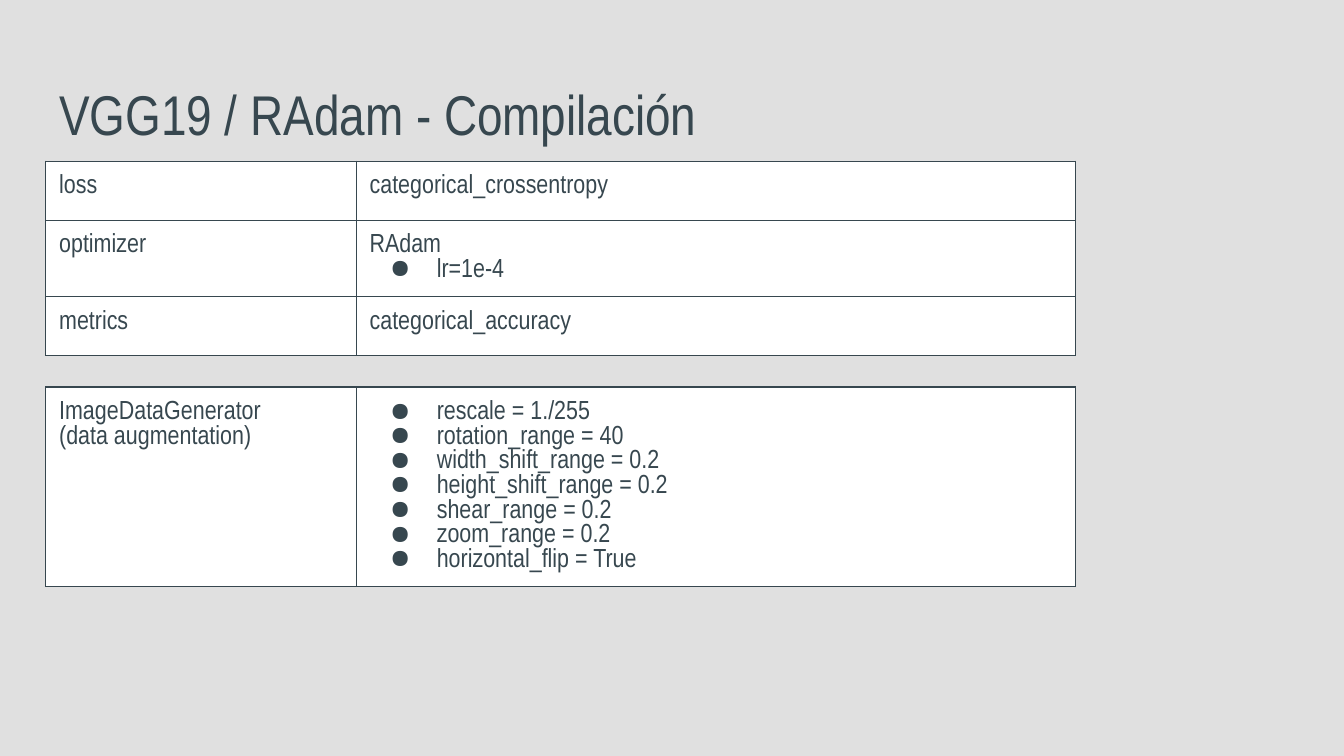
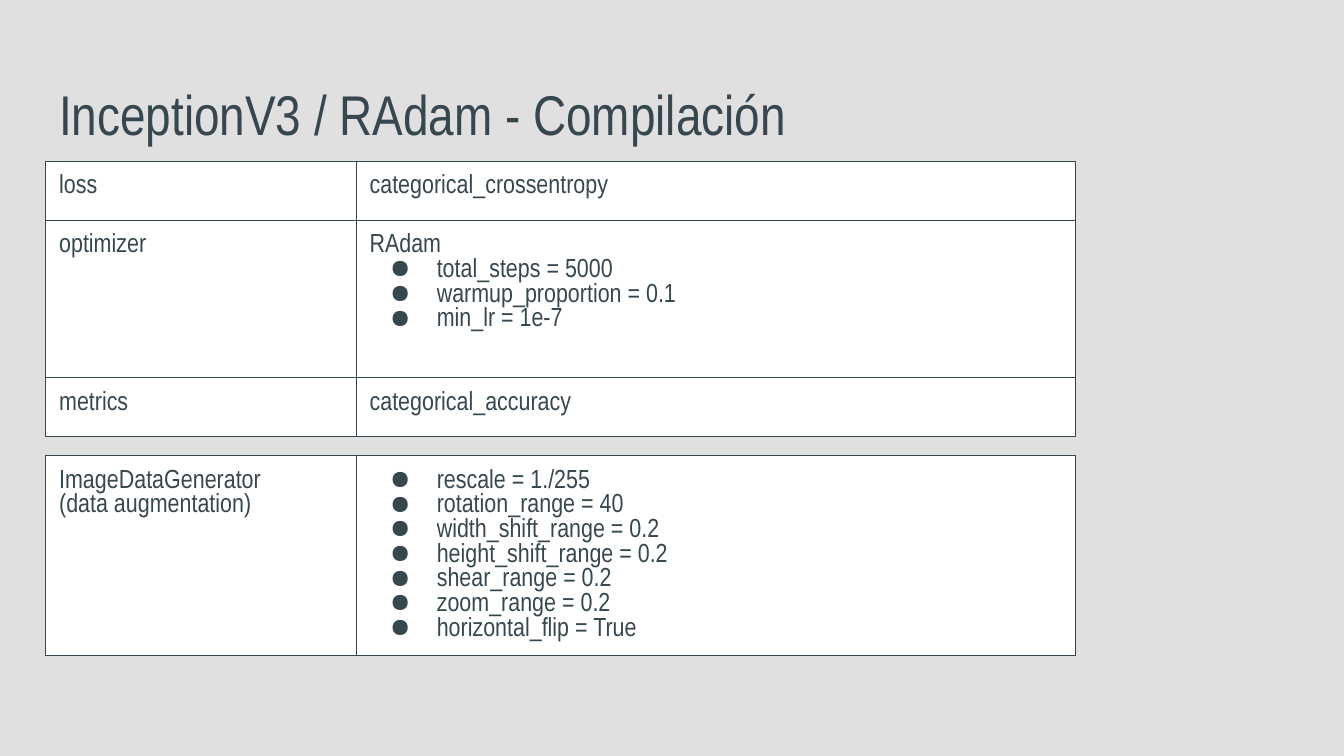
from lxml import etree
from pptx import Presentation
from pptx.dml.color import RGBColor
from pptx.enum.text import MSO_ANCHOR, PP_ALIGN
from pptx.oxml.ns import qn
from pptx.util import Inches, Pt

TOP, LEFT = MSO_ANCHOR.TOP, PP_ALIGN.LEFT
COLORS = {"page": "E0E0E0", "ink": "37474F", "cell": "FFFFFF"}
FONT = "Arial Narrow"
BULLET = "●"
INSET = 0.1
PAGE_WIDTH = 10
PAGE_HEIGHT = PAGE_WIDTH * 9 / 16
TITLE_BOX = (0.34, 0.49, 9.52, 0.63)
TABLE_LEFT, SETTINGS_TOP = 0.34, 1.2
COLUMNS = (2.31, 5.35)
ROW_HEIGHT = 0.44
AUGMENTATION = [
    (["ImageDataGenerator", "(data augmentation)"],
     [f"{BULLET}{option}" for option in (
         "rescale = 1./255", "rotation_range = 40", "width_shift_range = 0.2",
         "height_shift_range = 0.2", "shear_range = 0.2", "zoom_range = 0.2",
         "horizontal_flip = True")]),
]
PAGES = [
    {"model": "VGG19", "options": ["lr=1e-4"],
     "optimizer_height": ROW_HEIGHT, "augmentation_top": 2.88},
    {"model": "InceptionV3",
     "options": ["total_steps = 5000", "warmup_proportion = 0.1", "min_lr = 1e-7"],
     "optimizer_height": 1.17, "augmentation_top": 3.39},
]


def color(name):
    """Return a palette colour."""
    return RGBColor.from_string(COLORS[name])


def style_paragraph(para, size):
    """Format the runs of a paragraph in the deck's type."""
    para.alignment = LEFT
    for span in para.runs:
        span.font.name = FONT
        span.font.size = Pt(size)
        span.font.color.rgb = color("ink")


def set_insets(holder):
    """Give a text frame or table cell equal margins on all sides."""
    holder.margin_left = holder.margin_right = Inches(INSET)
    holder.margin_top = holder.margin_bottom = Inches(INSET)


def add_bullet(para):
    """Hang a round bullet before a paragraph."""
    properties = para._p.get_or_add_pPr()
    properties.set("marL", str(Inches(0.5)))
    properties.set("indent", str(Inches(-0.35)))
    bullet_color = etree.SubElement(properties, qn("a:buClr"))
    etree.SubElement(bullet_color, qn("a:srgbClr"), val=COLORS["ink"])
    etree.SubElement(properties, qn("a:buChar"), char=BULLET)


def add_borders(cell):
    """Outline all four sides of a cell."""
    properties = cell._tc.get_or_add_tcPr()
    for position, side in enumerate(("a:lnL", "a:lnR", "a:lnT", "a:lnB")):
        line = etree.Element(qn(side), w=str(Pt(0.75)))
        fill = etree.SubElement(line, qn("a:solidFill"))
        etree.SubElement(fill, qn("a:srgbClr"), val=COLORS["ink"])
        properties.insert(position, line)


def fill_cell(cell, lines):
    """Write lines into a cell, bulleting those marked with the bullet sign."""
    cell.fill.solid()
    cell.fill.fore_color.rgb = color("cell")
    cell.vertical_anchor = TOP
    set_insets(cell)
    add_borders(cell)
    cell.text_frame.text = "\n".join(line.removeprefix(BULLET) for line in lines)
    for para, line in zip(cell.text_frame.paragraphs, lines):
        if line.startswith(BULLET):
            add_bullet(para)
        style_paragraph(para, 14)


def add_settings_table(page, top, rows, heights):
    """Add a two-column table of names and values."""
    frame = page.shapes.add_table(
        len(rows), len(COLUMNS), Inches(TABLE_LEFT), Inches(top),
        Inches(sum(COLUMNS)), Inches(sum(heights)))
    table = frame.table
    table.first_row = table.horz_banding = False
    for column, width in zip(table.columns, COLUMNS):
        column.width = Inches(width)
    for row, height, entries in zip(table.rows, heights, rows):
        row.height = Inches(height)
        for cell, lines in zip(row.cells, entries):
            fill_cell(cell, lines)


def add_title(page, text, box):
    """Place and format the title placeholder."""
    title = page.shapes.title
    title.left, title.top, title.width, title.height = map(Inches, box)
    frame = title.text_frame
    frame.text = text
    frame.word_wrap = True
    frame.vertical_anchor = TOP
    set_insets(frame)
    style_paragraph(frame.paragraphs[0], 30)


def add_compilation_page(deck, model, options, optimizer_height, augmentation_top):
    """Add a slide with a model's compile settings and data augmentation."""
    page = deck.slides.add_slide(deck.slide_layouts[5])
    page.background.fill.solid()
    page.background.fill.fore_color.rgb = color("page")
    add_title(page, f"{model} / RAdam - Compilación", TITLE_BOX)
    settings = [
        (["loss"], ["categorical_crossentropy"]),
        (["optimizer"], ["RAdam"] + [f"{BULLET}{option}" for option in options]),
        (["metrics"], ["categorical_accuracy"]),
    ]
    add_settings_table(page, SETTINGS_TOP, settings,
                       (ROW_HEIGHT, optimizer_height, ROW_HEIGHT))
    add_settings_table(page, augmentation_top, AUGMENTATION, (ROW_HEIGHT,))


def main():
    """Build and save the deck."""
    deck = Presentation()
    deck.slide_width, deck.slide_height = Inches(PAGE_WIDTH), Inches(PAGE_HEIGHT)
    for content in PAGES:
        add_compilation_page(deck, **content)
    deck.save("out.pptx")


if __name__ == "__main__":
    main()
